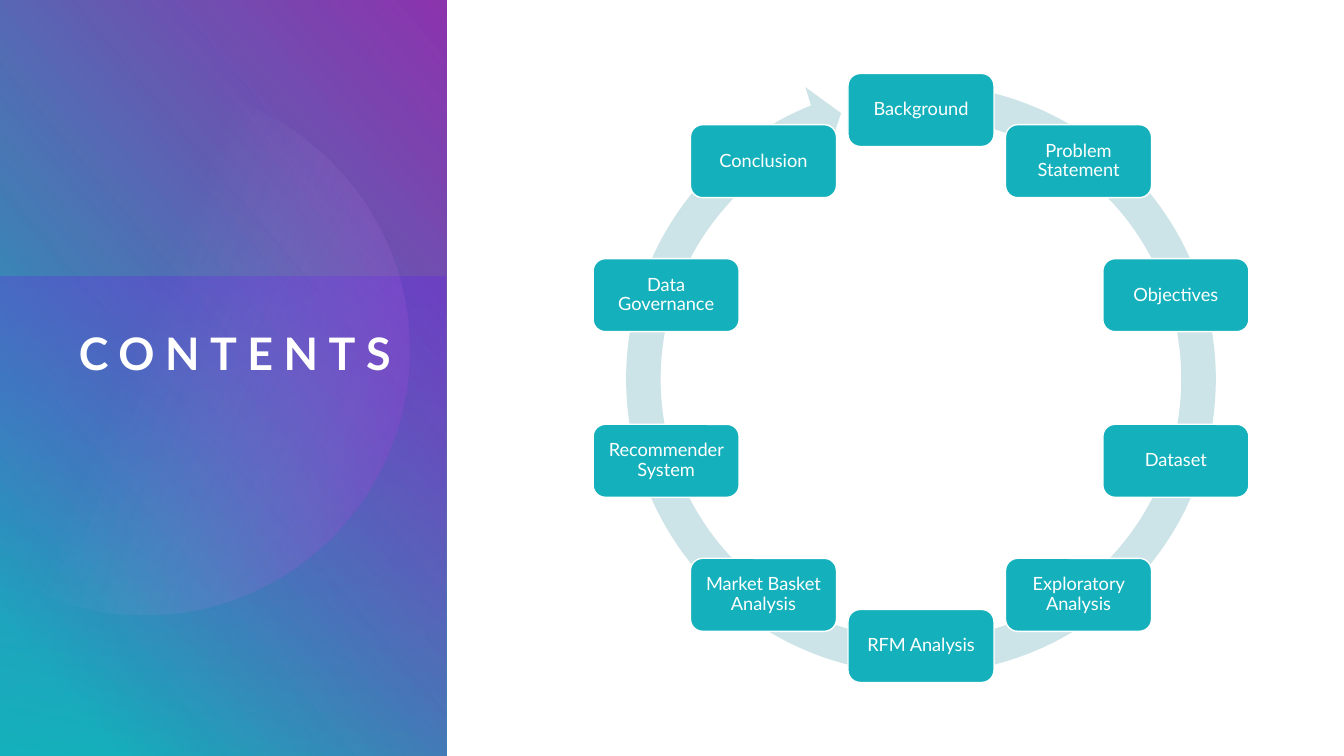
"""Build the contents slide: a gradient title panel beside a ring of ten topics."""
from math import cos, radians, sin

from lxml import etree
from pptx import Presentation
from pptx.dml.color import RGBColor
from pptx.enum.shapes import MSO_SHAPE as SHAPE
from pptx.enum.text import MSO_ANCHOR as ANCHOR, MSO_AUTO_SIZE as AUTO_SIZE, PP_ALIGN as ALIGN
from pptx.oxml import parse_xml
from pptx.oxml.ns import nsdecls, qn
from pptx.util import Pt

PX = 9144000 / 1008
FONT = "Lato"
WHITE = RGBColor(0xFF, 0xFF, 0xFF)
TEAL = RGBColor(0x14, 0xB1, 0xBC)
PALE_TEAL = RGBColor(0xCC, 0xE4, 0xE7)
PLUM = RGBColor(0x7A, 0x11, 0xA0)
INDIGO = RGBColor(0x65, 0x29, 0xE7)
VIOLET = RGBColor(0xA2, 0x17, 0xD5)
LAVENDER = RGBColor(0xD5, 0xD9, 0xF7)
TOPICS = [
    "Background", "Problem Statement", "Objectives", "Dataset", "Exploratory Analysis",
    "RFM Analysis", "Market Basket Analysis", "Recommender System", "Data Governance",
    "Conclusion",
]


def px(*lengths):
    """Turn pixel lengths into EMU."""
    return [round(length * PX) for length in lengths]


def paint_gradient(shape, angle, stops):
    """Fill a shape with (position, colour, opacity) stops, without line or shadow."""
    shape.shadow.inherit = False
    shape.line.fill.background()
    gradient = parse_xml(f'<a:gradFill {nsdecls("a")} rotWithShape="1"><a:gsLst/></a:gradFill>')
    for position, colour, opacity in stops:
        stop = etree.SubElement(gradient[0], qn("a:gs"), pos=str(position * 1000))
        rgb = etree.SubElement(stop, qn("a:srgbClr"), val=str(colour))
        etree.SubElement(rgb, qn("a:alpha"), val=str(opacity * 1000))
    etree.SubElement(gradient, qn("a:lin"), ang=str(angle * 60000), scaled="0")
    shape._element.spPr.find(qn("a:ln")).addprevious(gradient)


prs = Presentation()
prs.slide_width, prs.slide_height = px(1344, 756)
slide = prs.slides.add_slide(prs.slide_layouts[5])
shapes = slide.shapes

panel = shapes.add_shape(SHAPE.RECTANGLE, *px(-156, 156, 758, 446))
panel.rotation = 90
panel._element.spPr.find(qn("a:xfrm")).set("flipH", "1")
paint_gradient(panel, 310, [(11, TEAL, 100), (100, PLUM, 85)])

glow = shapes.add_shape(SHAPE.RECTANGLE, *px(-17, 293, 480, 446))
glow.rotation = 270
paint_gradient(glow, 190, [(0, INDIGO, 35), (100, VIOLET, 0)])

rim = [(144 + 265 * cos(radians(a)), 350 + 265 * sin(radians(a))) for a in range(-123, 124, 2)]
disc_outline = shapes.build_freeform(*px(*rim[0]), scale=1.0)
disc_outline.add_line_segments([px(*point) for point in rim[1:]], close=True)
disc = disc_outline.convert_to_shape()
paint_gradient(disc, 22, [(39, LAVENDER, 0), (100, VIOLET, 29)])

title = shapes.title
shapes._spTree.append(title._element)
title.left, title.top, title.width, title.height = px(51, 326, 340, 389)
heading = title.text_frame
heading.text = "CONTENTS"
heading.auto_size = AUTO_SIZE.NONE
heading.vertical_anchor = ANCHOR.TOP
heading.margin_left = heading.margin_right = heading.margin_top = heading.margin_bottom = 0
heading_line = heading.paragraphs[0]
heading_line.alignment = ALIGN.RIGHT
heading_line.font.name = FONT
heading_line.font.size = Pt(32)
heading_line.font.bold = True
heading_line.font.color.rgb = WHITE
heading_line.runs[0].font._element.set("spc", "750")

ring = shapes.add_shape(SHAPE.CIRCULAR_ARROW, *px(607, 65, 628, 628))
for index, value in enumerate((0.055, 3.31, 148.66, 167.52, 0.058)):
    ring.adjustments[index] = value
ring.shadow.inherit = False
ring.fill.solid()
ring.fill.fore_color.rgb = PALE_TEAL
ring.line.fill.background()

CENTRE_X, CENTRE_Y, RADIUS = 921, 378, 268
CARD_W, CARD_H = 146, 73
for index, topic in enumerate(TOPICS):
    angle = radians(index * 360 / len(TOPICS))
    left = CENTRE_X + RADIUS * sin(angle) - CARD_W / 2
    top = CENTRE_Y - RADIUS * cos(angle) - CARD_H / 2
    card = shapes.add_shape(SHAPE.ROUNDED_RECTANGLE, *px(left, top, CARD_W, CARD_H))
    card.shadow.inherit = False
    card.fill.solid()
    card.fill.fore_color.rgb = TEAL
    card.line.color.rgb = WHITE
    card.line.width = Pt(1)
    label = card.text_frame
    label.text = topic
    label.word_wrap = True
    label.vertical_anchor = ANCHOR.MIDDLE
    label.margin_left, label.margin_top, label.margin_right, label.margin_bottom = px(5, 5, 5, 5)
    label_line = label.paragraphs[0]
    label_line.alignment = ALIGN.CENTER
    label_line.line_spacing = 0.9
    label_line.font.name = FONT
    label_line.font.size = Pt(13)
    label_line.font.color.rgb = WHITE

prs.save("out.pptx")
